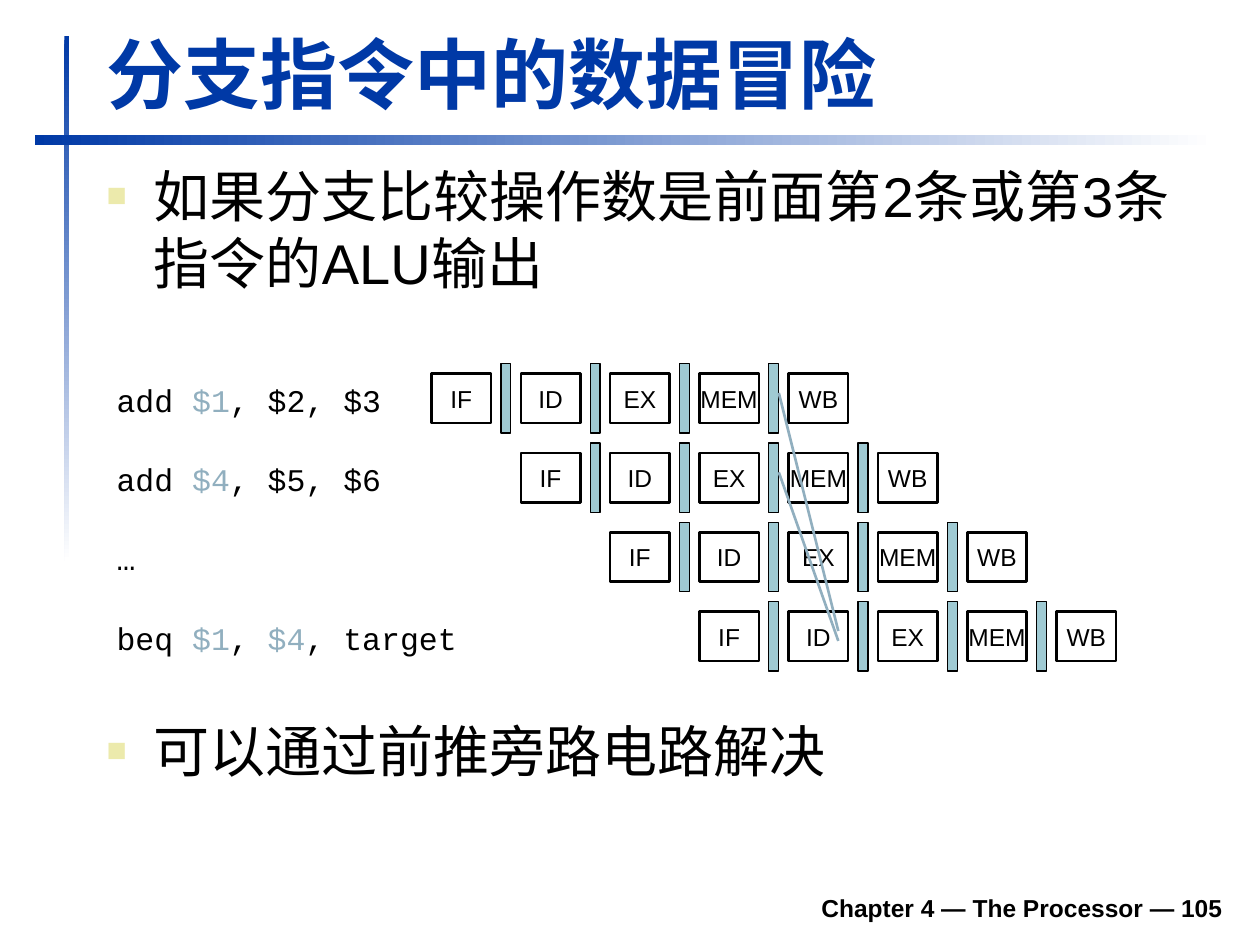
"""Builds a slide on data hazards in branch instructions with a pipeline diagram."""
import pptx
import pptx.dml.color
import pptx.enum.shapes
import pptx.enum.text
import pptx.oxml.ns
import pptx.util
from lxml import etree

Cm = pptx.util.Cm
Pt = pptx.util.Pt
ALIGN = pptx.enum.text.PP_ALIGN
ANCHOR = pptx.enum.text.MSO_ANCHOR
AUTO_SIZE = pptx.enum.text.MSO_AUTO_SIZE
COLORS = {"blue": "0039A6", "white": "FFFFFF", "black": "000000",
          "teal": "9FCAD3", "accent": "91AFBF", "bullet": "ECEAAC"}


def rgb(name):
    return pptx.dml.color.RGBColor.from_string(COLORS[name])


def sub(parent, tag, **attrs):
    return etree.SubElement(parent, pptx.oxml.ns.qn(tag), attrs)


def add_text(p, text, size=18, font="Arial", color="black", bold=False):
    r = p.add_run()
    r.text = text
    r.font.size = Pt(size)
    r.font.name = font
    r.font.bold = bold
    r.font.color.rgb = rgb(color)


class SlideBuilder:
    def __init__(self, prs):
        self.slide = prs.slides.add_slide(prs.slide_layouts[5])
        self.shapes = self.slide.shapes

    def title(self, text, left, top, width, height):
        sp = self.shapes.title
        sp.left, sp.top, sp.width, sp.height = map(Cm, (left, top, width, height))
        tf = sp.text_frame
        tf.auto_size = AUTO_SIZE.NONE
        tf.vertical_anchor = ANCHOR.BOTTOM
        tf.paragraphs[0].alignment = ALIGN.LEFT
        add_text(tf.paragraphs[0], text, size=44, color="blue", bold=True)

    def text_box(self, left, top, width, height, anchor=ANCHOR.TOP):
        sp = self.shapes.add_textbox(*map(Cm, (left, top, width, height)))
        sp.text_frame.word_wrap = True
        sp.text_frame.vertical_anchor = anchor
        return sp.text_frame

    def bullet(self, text, left, top, width, height):
        p = self.text_box(left, top, width, height).paragraphs[0]
        pPr = p._p.get_or_add_pPr()
        pPr.set("marL", str(Cm(0.95)))
        pPr.set("indent", str(-Cm(0.95)))
        sub(sub(pPr, "a:buClr"), "a:srgbClr", val=COLORS["bullet"])
        sub(pPr, "a:buSzPct", val="60000")
        sub(pPr, "a:buFont", typeface="Arial")
        sub(pPr, "a:buChar", char="■")
        add_text(p, text, size=32)

    def footer(self, text, left, top, width, height):
        p = self.text_box(left, top, width, height, ANCHOR.BOTTOM).paragraphs[0]
        p.alignment = ALIGN.RIGHT
        add_text(p, text, size=14, bold=True)

    def code(self, parts, left, top):
        length = sum(len(text) for text, color in parts)
        tf = self.text_box(left, top, 0.58 + 0.38 * length, 1.02)
        tf.word_wrap = False
        tf.auto_size = AUTO_SIZE.SHAPE_TO_FIT_TEXT
        for text, color in parts:
            add_text(tf.paragraphs[0], text, font="Courier New", color=color)

    def rect(self, shapes, left, top, width, height):
        sp = shapes.add_shape(pptx.enum.shapes.MSO_SHAPE.RECTANGLE,
                              *map(Cm, (left, top, width, height)))
        sp.shadow.inherit = False
        return sp

    def gradient_bar(self, left, top, width, height, angle):
        sp = self.rect(self.shapes, left, top, width, height)
        sp.line.fill.background()
        sp.fill.gradient()
        sp.fill.gradient_angle = angle
        for stop, color in zip(sp.fill.gradient_stops, ("blue", "white")):
            stop.color.rgb = rgb(color)

    def stage(self, shapes, text, left, top):
        sp = self.rect(shapes, left, top, 1.2, 1)
        sp.fill.background()
        sp.line.color.rgb = rgb("black")
        sp.line.width = Pt(1.5)
        tf = sp.text_frame
        tf.word_wrap = False
        tf.vertical_anchor = ANCHOR.MIDDLE
        tf.paragraphs[0].alignment = ALIGN.CENTER
        add_text(tf.paragraphs[0], text, size=14)

    def register(self, shapes, left, top):
        sp = self.rect(shapes, left, top, 0.2, 1.4)
        sp.fill.solid()
        sp.fill.fore_color.rgb = rgb("teal")
        sp.line.color.rgb = rgb("black")
        sp.line.width = Pt(0.75)

    def pipeline(self, left, top, pitch):
        shapes = self.shapes.add_group_shape().shapes
        stages = ("IF", "ID", "EX", "MEM", "WB")
        for i, name in enumerate(stages):
            self.stage(shapes, name, left + i * pitch, top)
        for i in range(len(stages) - 1):
            self.register(shapes, left + 1.4 + i * pitch, top - 0.2)

    def line(self, x1, y1, x2, y2):
        cn = self.shapes.add_connector(pptx.enum.shapes.MSO_CONNECTOR.STRAIGHT,
                                       *map(Cm, (x1, y1, x2, y2)))
        cn.line.color.rgb = rgb("accent")
        cn.line.width = Pt(1.5)
        sub(cn._element.spPr, "a:effectLst")


def main():
    prs = pptx.Presentation()
    prs.slide_width, prs.slide_height = Cm(25.4), Cm(19.05)
    s = SlideBuilder(prs)
    s.gradient_bar(1.3, 0.72, 0.1, 10.6, 270)
    s.gradient_bar(0.7, 2.72, 23.8, 0.2, 0)
    s.title("分支指令中的数据冒险", 1.9, 0.42, 22.94, 2.1)
    s.bullet("如果分支比较操作数是前面第2条或第3条指令的ALU输出", 1.9, 3.13, 23, 3.4)
    instructions = (
        (("add ", "black"), ("$1", "accent"), (", $2, $3", "black")),
        (("add ", "black"), ("$4", "accent"), (", $5, $6", "black")),
        (("…", "black"),),
        (("beq ", "black"), ("$1", "accent"), (", ", "black"),
         ("$4", "accent"), (", target", "black")),
    )
    pitch, row_pitch = 1.8, 1.6
    for i, parts in enumerate(instructions):
        s.code(parts, 2.1, 7.55 + i * row_pitch)
        s.pipeline(8.7 + i * pitch, 7.53 + i * row_pitch, pitch)
    s.line(15.7, 7.92, 16.9, 12.72)
    s.line(15.7, 9.52, 16.9, 12.92)
    s.bullet("可以通过前推旁路电路解决", 1.9, 14.32, 21.6, 1.8)
    s.footer("Chapter 4 — The Processor — 105", 4.7, 17.73, 20.2, 1)
    prs.save("out.pptx")


if __name__ == "__main__":
    main()
